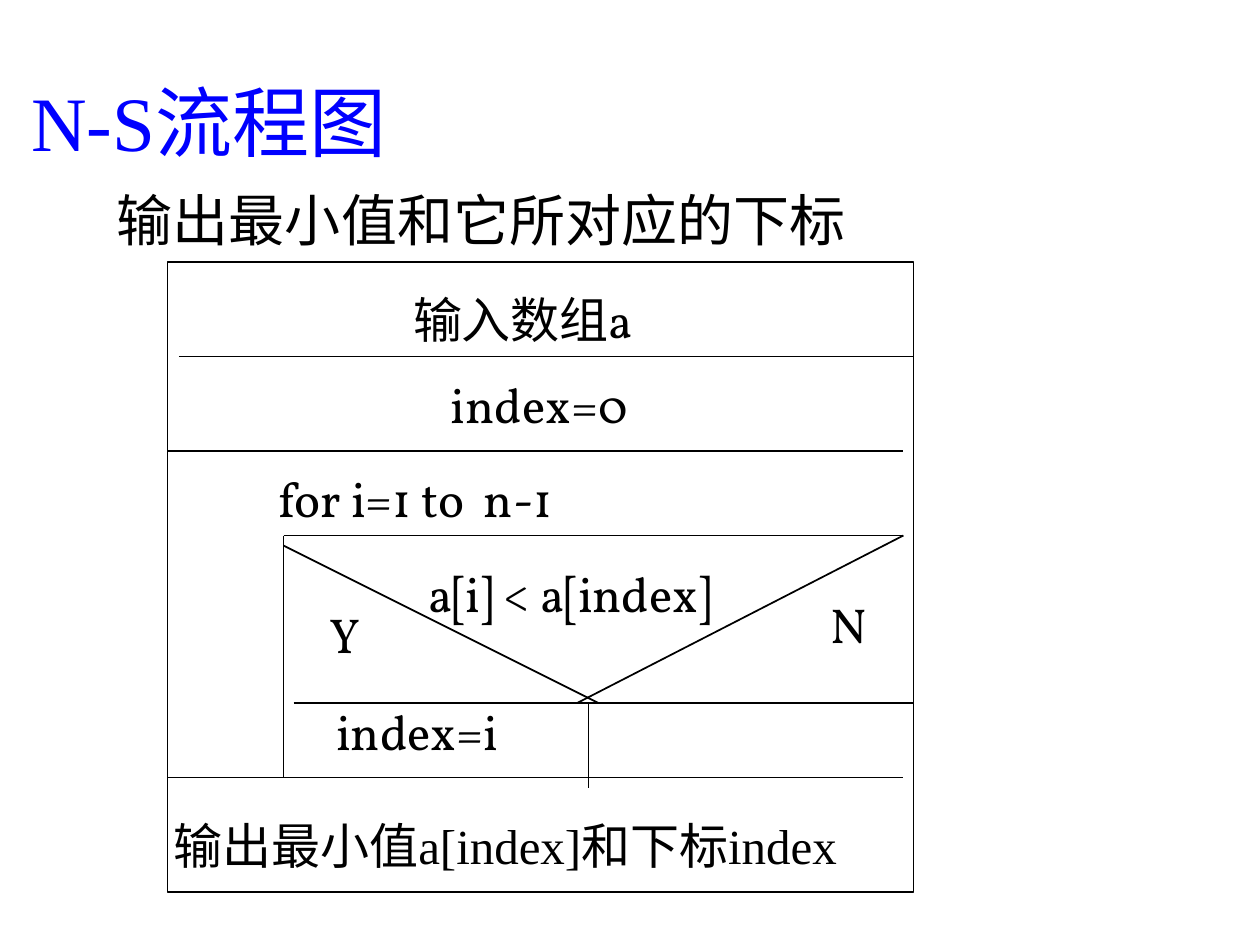
from typing import NamedTuple

from lxml.etree import SubElement
from pptx import Presentation
from pptx.dml.color import RGBColor
from pptx.enum.shapes import MSO_CONNECTOR, MSO_SHAPE
from pptx.enum.text import MSO_ANCHOR, MSO_AUTO_SIZE
from pptx.oxml.ns import qn
from pptx.util import Inches, Pt

COLORS = {"title": "0000FF", "ink": "000000"}
SERIF, BOOK = "Times New Roman", "Vollkorn"

# Edges of the N-S chart
LEFT, RIGHT, TOP, BOTTOM = 1.33, 7.25, 2.08, 7.08
INNER_RIGHT = 7.17
LOOP_LEFT, LOOP_TOP = 2.25, 4.25
BRANCH_Y, LOOP_BOTTOM = 5.58, 6.17
BRANCH_X = 4.67


class Label(NamedTuple):
    text: str
    left: float
    top: float
    width: float
    height: float = 0.56
    font: str = BOOK
    size: int = 28
    color: str = "ink"
    anchor: MSO_ANCHOR = MSO_ANCHOR.TOP
    fit: MSO_AUTO_SIZE = MSO_AUTO_SIZE.SHAPE_TO_FIT_TEXT


class Rule(NamedTuple):
    x1: float
    y1: float
    x2: float
    y2: float


HEADINGS = [
    Label("输出最小值和它所对应的下标", 0.83, 1.42, 8.42, 0.75, SERIF, 32,
          fit=MSO_AUTO_SIZE.NONE),
    Label("N-S流程图", 0.15, 0.33, 8.35, 1.25, SERIF, 44, "title",
          MSO_ANCHOR.MIDDLE, MSO_AUTO_SIZE.NONE),
]

STEPS = [
    Label("输入数组a", 3.18, 2.25, 2.06),
    Label("index=0", 3.48, 2.92, 1.68),
    Label("for i=1 to  n-1", 2.11, 3.67, 2.66),
    Label("a[i] < a[index]", 3.3, 4.42, 2.78),
    Label("index=i", 2.57, 5.52, 1.59),
    Label("输出最小值a[index]和下标index", 1.28, 6.42, 5.74, font=SERIF),
    Label("Y", 2.52, 4.75, 0.44),
    Label("N", 6.49, 4.67, 0.49),
]

RULES = [
    Rule(1.42, 2.83, RIGHT, 2.83),
    Rule(LEFT, 3.58, INNER_RIGHT, 3.58),
    Rule(LOOP_LEFT, LOOP_TOP, INNER_RIGHT, LOOP_TOP),
    Rule(LOOP_LEFT, LOOP_TOP, LOOP_LEFT, LOOP_BOTTOM),
    Rule(LOOP_LEFT, 4.33, 4.75, BRANCH_Y),
    Rule(4.58, BRANCH_Y, INNER_RIGHT, LOOP_TOP),
    Rule(2.33, BRANCH_Y, RIGHT, BRANCH_Y),
    Rule(BRANCH_X, BRANCH_Y, BRANCH_X, 6.25),
    Rule(LEFT, LOOP_BOTTOM, INNER_RIGHT, LOOP_BOTTOM),
]


def rgb(name: str) -> RGBColor:
    return RGBColor.from_string(COLORS[name])


def draw_label(shapes, label: Label) -> None:
    box = shapes.add_textbox(Inches(label.left), Inches(label.top),
                             Inches(label.width), Inches(label.height))
    frame = box.text_frame
    frame_format = {
        "word_wrap": label.fit == MSO_AUTO_SIZE.NONE,
        "auto_size": label.fit,
        "vertical_anchor": label.anchor,
    }
    for name, value in frame_format.items():
        setattr(frame, name, value)
    run = frame.paragraphs[0].add_run()
    run.text = label.text
    for name, value in {"name": label.font, "size": Pt(label.size)}.items():
        setattr(run.font, name, value)
    run.font.color.rgb = rgb(label.color)


def style_line(line) -> None:
    line.color.rgb = rgb("ink")
    line.width = Pt(1)


def draw_rule(shapes, rule: Rule) -> None:
    connector = shapes.add_connector(MSO_CONNECTOR.STRAIGHT,
                                     *(Inches(end) for end in rule))
    style_line(connector.line)
    SubElement(connector._element.spPr, qn("a:effectLst"))


def draw_frame(shapes) -> None:
    frame = shapes.add_shape(MSO_SHAPE.RECTANGLE, Inches(LEFT), Inches(TOP),
                             Inches(RIGHT - LEFT), Inches(BOTTOM - TOP))
    frame.shadow.inherit = False
    frame.fill.background()
    style_line(frame.line)


def main() -> None:
    deck = Presentation()
    deck.slide_width, deck.slide_height = Inches(10), Inches(7.5)
    slide = deck.slides.add_slide(deck.slide_layouts[6])
    for heading in HEADINGS:
        draw_label(slide.shapes, heading)
    chart = slide.shapes.add_group_shape().shapes
    draw_frame(chart)
    for step in STEPS:
        draw_label(chart, step)
    for rule in RULES:
        draw_rule(chart, rule)
    deck.save("out.pptx")


if __name__ == "__main__":
    main()
